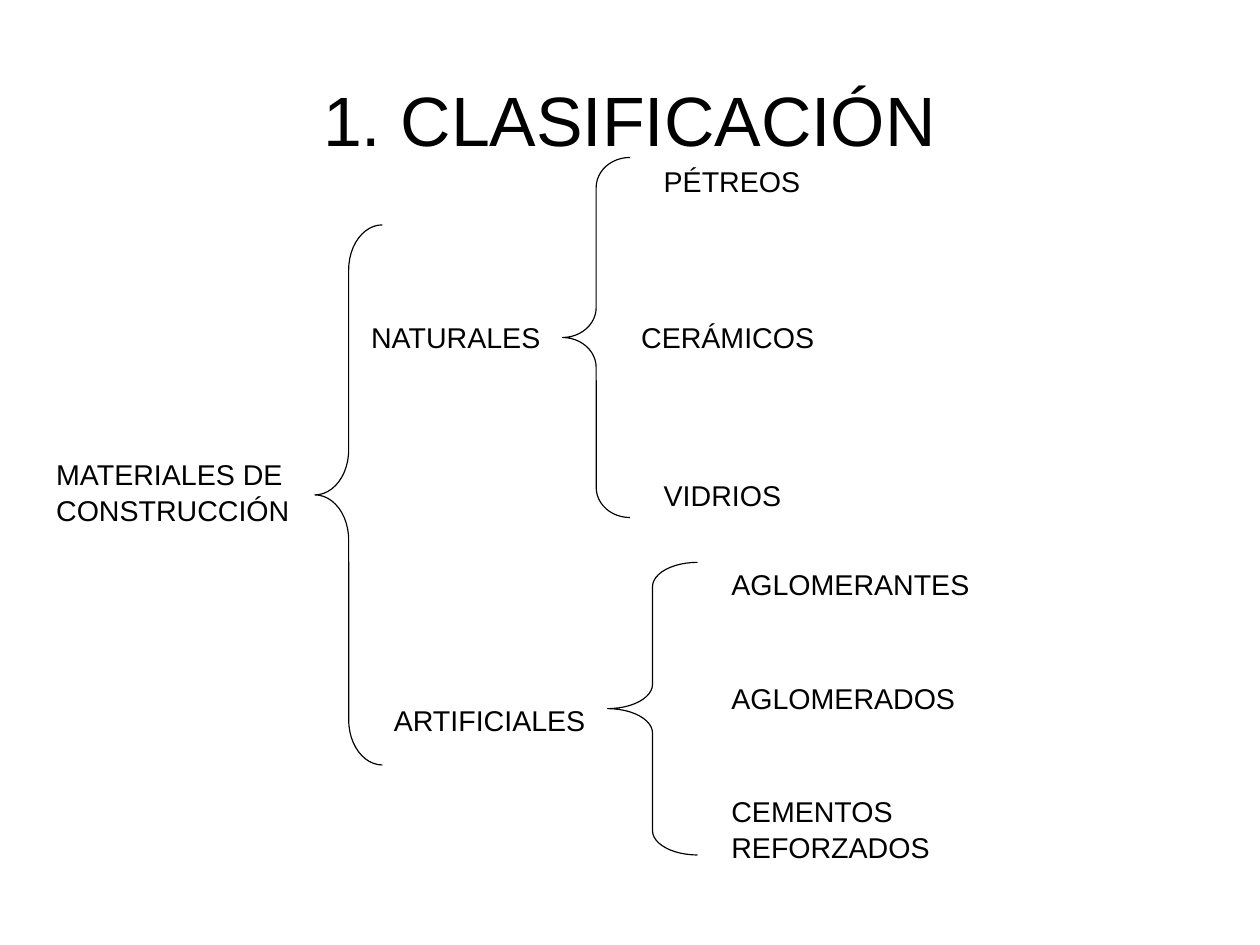
import pptx
import pptx.util
import pptx.dml.color
import pptx.enum.shapes
import pptx.enum.text
from dataclasses import dataclass

Pt = pptx.util.Pt
Align = pptx.enum.text.PP_ALIGN
Anchor = pptx.enum.text.MSO_ANCHOR
Fit = pptx.enum.text.MSO_AUTO_SIZE


@dataclass(frozen=True)
class Theme:
    ink: pptx.dml.color.RGBColor
    font: str
    title_size: float
    label_size: float
    line_spacing: float
    hairline: float


THEME = Theme(pptx.dml.color.RGBColor(0, 0, 0), "Arial", 44, 18, 1.04, 0)
PAGE_SIZE = (793.7, 595.3)
TITLE_BOX = (39.7, 27.5, 714.3, 92.1)
LINE_HEIGHT = 29.5

# Brace boxes are left, top, width, height. A heading ends where its brace
# begins and is (text, top, width); a branch is (text, gap, top, width), with
# the gap counted from the right edge of the brace. Tops count from its top.
GROUPS = [
    ((198.4, 141.7, 42.5, 340.2), ("MATERIALES DE CONSTRUCCIÓN", 142, 170.1), []),
    ((354.3, 99.2, 42.5, 226.8), ("NATURALES", 98.2, 127.6), [
        ("PÉTREOS", 14.2, 0, 127.6),
        ("CERÁMICOS", 0, 98.2, 127.6),
        ("VIDRIOS", 14.2, 197.6, 127.6),
    ]),
    ((382.7, 354.3, 56.7, 184.3), ("ARTIFICIALES", 84, 141.7), [
        ("AGLOMERANTES", 14.2, -1.3, 198.4),
        ("AGLOMERADOS", 14.2, 70, 198.4),
        ("CEMENTOS REFORZADOS", 14.2, 141.6, 156),
    ]),
]


def apply_format(target, values):
    for name, value in values.items():
        setattr(target, name, value)


def add_text(page, box, text, size, frame_format, alignment):
    frame = page.shapes.add_textbox(*map(Pt, box)).text_frame
    apply_format(frame, {"word_wrap": True, **frame_format})
    para = frame.paragraphs[0]
    apply_format(para, {"alignment": alignment, "line_spacing": THEME.line_spacing})
    span = para.add_run()
    span.text = text
    apply_format(span.font, {"name": THEME.font, "size": Pt(size)})
    span.font.color.rgb = THEME.ink


def add_title(page, box, text):
    margins = {f"margin_{side}": 0 for side in ("left", "top", "right", "bottom")}
    frame_format = {**margins, "vertical_anchor": Anchor.MIDDLE, "auto_size": Fit.NONE}
    add_text(page, box, text, THEME.title_size, frame_format, Align.CENTER)


def add_label(page, box, text):
    frame_format = {"vertical_anchor": Anchor.TOP, "auto_size": Fit.SHAPE_TO_FIT_TEXT}
    add_text(page, box, text, THEME.label_size, frame_format, Align.LEFT)


def add_brace(page, box):
    """Draw a left brace whose bends each take a twelfth of its height."""
    width, height = box[2:]
    brace = page.shapes.add_shape(
        pptx.enum.shapes.MSO_SHAPE.LEFT_BRACE, *map(Pt, box))
    brace.adjustments[0] = height / 12 / min(width, height)
    brace.shadow.inherit = False
    brace.fill.background()
    brace.line.color.rgb = THEME.ink
    brace.line.width = Pt(THEME.hairline)


def add_group(page, box, heading, branches):
    """Place a brace with its heading on the left and branches on the right."""
    left, top, width, height = box
    add_brace(page, box)
    text, offset, label_width = heading
    add_label(page, (left - label_width, top + offset, label_width, LINE_HEIGHT), text)
    for text, gap, offset, label_width in branches:
        label_box = (left + width + gap, top + offset, label_width, LINE_HEIGHT)
        add_label(page, label_box, text)


def main():
    deck = pptx.Presentation()
    deck.slide_width, deck.slide_height = map(Pt, PAGE_SIZE)
    page = deck.slides.add_slide(deck.slide_layouts[6])
    add_title(page, TITLE_BOX, "1. CLASIFICACIÓN")
    for box, heading, branches in GROUPS:
        add_group(page, box, heading, branches)
    deck.save("out.pptx")


if __name__ == "__main__":
    main()
